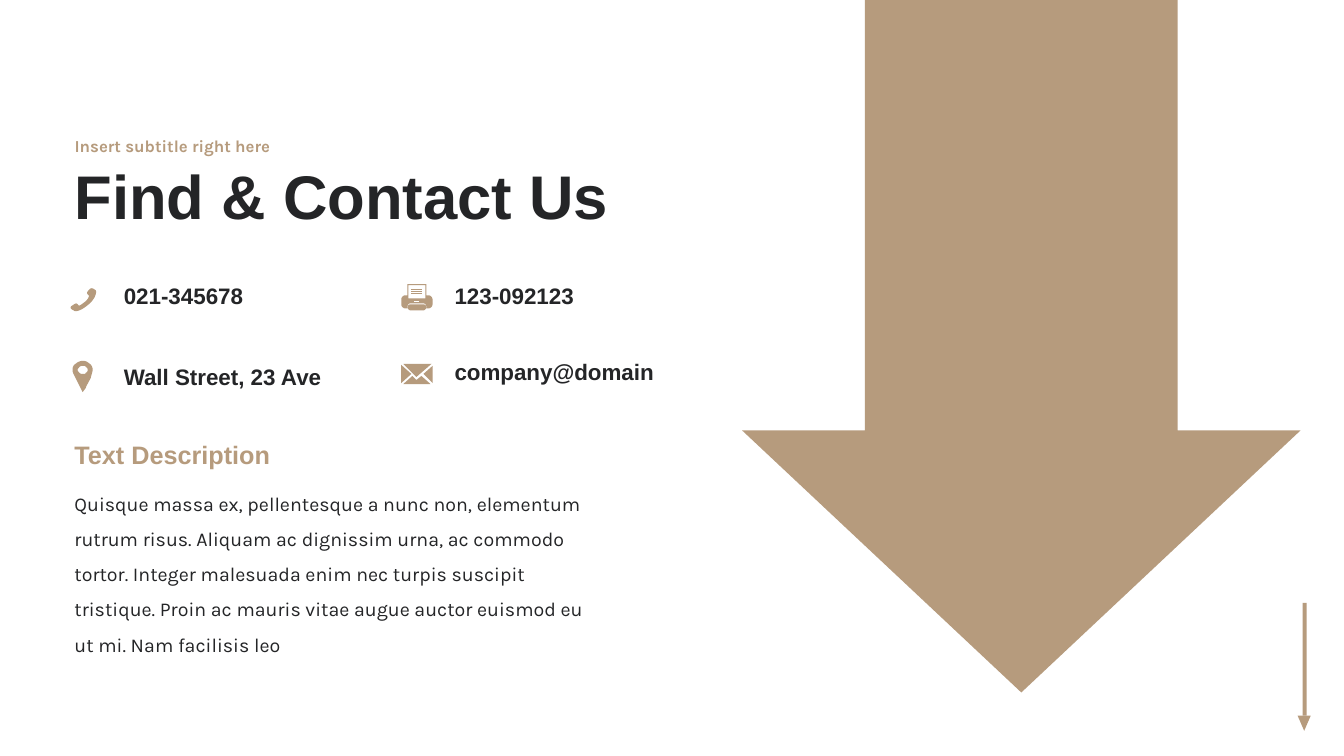
from dataclasses import dataclass

import pptx
import pptx.dml.color
import pptx.enum.shapes
import pptx.enum.text
import pptx.oxml
import pptx.oxml.ns
import pptx.util
from pptx.enum.shapes import MSO_SHAPE

PX = 9144  # EMU per px, 100 px to the inch
STEPS = 8  # line pieces per curve
COLORS = {"tan": "B69B7D", "ink": "242527", "white": "FFFFFF"}
Box = tuple[int, int, int, int]
Ring = list[tuple[int, ...]]


@dataclass
class Label:
    text: str
    box: Box
    size: int
    color: str = "ink"
    font: str = "Arial"
    bold: bool = True
    lead: float = 1.0


TITLE = Label("Find & Contact Us", (64, 146, 750, 103), 44, lead=0.9)
SUB = Label("Insert subtitle right here", (64, 127, 750, 38), 12, "tan", "Karla", lead=0.9)
LABELS = [
    Label("Quisque massa ex, pellentesque a nunc non, elementum rutrum risus. "
          "Aliquam ac dignissim urna, ac commodo tortor. Integer malesuada enim nec "
          "turpis suscipit tristique. Proin ac mauris vitae augue auctor euismod eu "
          "ut mi. Nam facilisis leo",
          (64, 471, 533, 148), 14, font="Karla", bold=False, lead=1.5),
    Label("Text Description", (64, 431, 292, 40), 18, "tan"),
    Label("021-345678", (113, 275, 220, 37), 16),
    Label("company@domain", (441, 350, 307, 37), 16),
    Label("123-092123", (441, 275, 307, 37), 16),
    Label("Wall Street, 23 Ave", (113, 355, 270, 37), 16),
]

# Each ring starts at a point; two numbers draw a line, six draw a curve.
PHONE: list[Ring] = [
    [(88, 293), (87, 292, 85, 291, 88, 288), (91, 284, 93, 287, 95, 288),
     (96, 290, 95, 296, 88, 302), (81, 308, 75, 310, 73, 308),
     (71, 307, 68, 305, 72, 303), (76, 300, 76, 301, 78, 303),
     (79, 304, 82, 301, 85, 299), (87, 297, 89, 294, 88, 293)],
]
PIN: list[Ring] = [
    [(75, 361), (77, 359, 80, 358, 82, 358), (85, 358, 87, 359, 89, 361),
     (91, 362, 92, 365, 92, 367), (92, 368, 91, 371, 90, 375),
     (88, 379, 86, 382, 85, 385), (82, 389), (79, 383), (76, 377),
     (75, 375, 74, 373, 73, 371), (72, 369, 72, 368, 72, 367),
     (72, 364, 73, 362, 75, 361)],
    [(79, 370), (80, 371, 81, 371, 82, 371), (84, 371, 85, 371, 85, 370),
     (87, 369, 87, 368, 87, 367), (87, 366, 87, 365, 85, 364),
     (85, 363, 84, 363, 82, 363), (81, 363, 80, 363, 79, 364),
     (78, 365, 77, 366, 77, 367), (77, 368, 78, 369, 79, 370)],
]
PRINTER: list[Ring] = [
    [(425, 293), (423, 293), (423, 282), (404, 282), (404, 293), (402, 293),
     (400, 293, 398, 295, 398, 297), (398, 302), (398, 304, 400, 306, 402, 306),
     (404, 306), (404, 305), (404, 303, 405, 301, 407, 301), (420, 301),
     (422, 301, 423, 303, 423, 305), (423, 306), (425, 306),
     (427, 306, 429, 304, 429, 302), (429, 297), (429, 295, 427, 293, 425, 293)],
    [(405, 283), (422, 283), (422, 296), (405, 296)],
]
TRAY: list[Ring] = [
    [(420, 302), (407, 302), (406, 302, 404, 303, 404, 305),
     (404, 306, 406, 308, 407, 308), (420, 308),
     (421, 308, 423, 306, 423, 305), (423, 303, 421, 302, 420, 302)],
]
MAIL: list[list[Ring]] = [
    [[(400, 361), (428, 361), (413, 374)]],
    [[(429, 363), (420, 371), (429, 380)]],
    [[(398, 362), (398, 380), (408, 371)]],
    [[(413, 377), (409, 373), (400, 381), (427, 381), (418, 373)]],
]


def tint(name: str) -> pptx.dml.color.RGBColor:
    return pptx.dml.color.RGBColor.from_string(COLORS[name])


def paint(shape) -> None:
    shape.shadow.inherit = False
    shape.fill.solid()
    shape.fill.fore_color.rgb = tint("tan")
    shape.line.fill.background()


def place(shape, box: Box) -> None:
    shape.left, shape.top, shape.width, shape.height = (n * PX for n in box)


def write(shape, label: Label, anchor, fit) -> None:
    frame = shape.text_frame
    frame.text = label.text
    frame.word_wrap = True
    frame.auto_size = fit
    frame.vertical_anchor = anchor
    para = frame.paragraphs[0]
    para.alignment = pptx.enum.text.PP_ALIGN.LEFT
    para.line_spacing = label.lead
    para.space_before = pptx.util.Pt(0)
    font = para.runs[0].font
    font.name, font.size, font.bold = label.font, pptx.util.Pt(label.size), label.bold
    font.color.rgb = tint(label.color)


def trace(ring: Ring) -> list[tuple[float, float]]:
    """Turn the lines and curves of a ring into points in EMU."""
    x, y = ring[0]
    points = [(x, y)]
    for step in ring[1:]:
        if len(step) == 6:
            a, b, c, d, e, f = step
            for i in range(1, STEPS):
                t = i / STEPS
                u = 1 - t
                k = (u ** 3, 3 * u * u * t, 3 * u * t * t, t ** 3)
                points.append((k[0] * x + k[1] * a + k[2] * c + k[3] * e,
                               k[0] * y + k[1] * b + k[2] * d + k[3] * f))
        x, y = step[-2:]
        points.append((x, y))
    return [(px * PX, py * PX) for px, py in points]


def outline(shapes, rings: list[Ring]) -> None:
    first, *rest = trace(rings[0])
    pen = shapes.build_freeform(*first, scale=1.0)
    pen.add_line_segments(rest, close=True)
    for ring in rings[1:]:
        first, *rest = trace(ring)
        pen.move_to(*first)
        pen.add_line_segments(rest, close=True)
    paint(pen.convert_to_shape())


def rule(shapes, left: int, right: int, y: int, color: str) -> None:
    line = shapes.add_connector(pptx.enum.shapes.MSO_CONNECTOR.STRAIGHT,
                                left * PX, y * PX, right * PX, y * PX)
    line.line.color.rgb = tint(color)
    line.line.width = pptx.util.Pt(0.4)
    props = line._element.spPr
    props.append(pptx.oxml.parse_xml(
        f'<a:effectLst {pptx.oxml.ns.nsdecls("a")}/>'))


def preset(shapes, kind: MSO_SHAPE, box: Box, turn: int = 0):
    shape = shapes.add_shape(kind, *(n * PX for n in box))
    shape.rotation = turn
    paint(shape)
    return shape


def main() -> None:
    deck = pptx.Presentation()
    deck.slide_width, deck.slide_height = 1333 * PX, 750 * PX
    slide = deck.slides.add_slide(deck.slide_layouts[0])
    shapes = slide.shapes
    anchors, fits = pptx.enum.text.MSO_ANCHOR, pptx.enum.text.MSO_AUTO_SIZE

    marker = shapes.add_group_shape().shapes
    preset(marker, MSO_SHAPE.RECTANGLE, (1292, 598, 4, 112))
    preset(marker, MSO_SHAPE.ISOSCELES_TRIANGLE, (1287, 710, 13, 15), 180)
    arrow = preset(shapes, MSO_SHAPE.DOWN_ARROW, (736, -60, 554, 747))
    arrow.adjustments[0] = 310 / 554
    arrow.adjustments[1] = 260 / 554

    for holder, label in zip(slide.placeholders, (TITLE, SUB)):
        place(holder, label.box)
        write(holder, label, anchors.MIDDLE, fits.NONE)
    for label in LABELS:
        box = shapes.add_textbox(*(n * PX for n in label.box))
        write(box, label, anchors.TOP, fits.SHAPE_TO_FIT_TEXT)

    outline(shapes, PHONE)
    outline(shapes, PIN)
    fax = shapes.add_group_shape().shapes
    outline(fax, TRAY)
    outline(fax, PRINTER)
    for y in (287, 289, 291):
        rule(fax, 408, 419, y, "tan")
    rule(fax, 411, 416, 299, "white")
    mail = shapes.add_group_shape().shapes
    for flap in MAIL:
        outline(mail, flap)

    deck.save("out.pptx")


if __name__ == "__main__":
    main()
